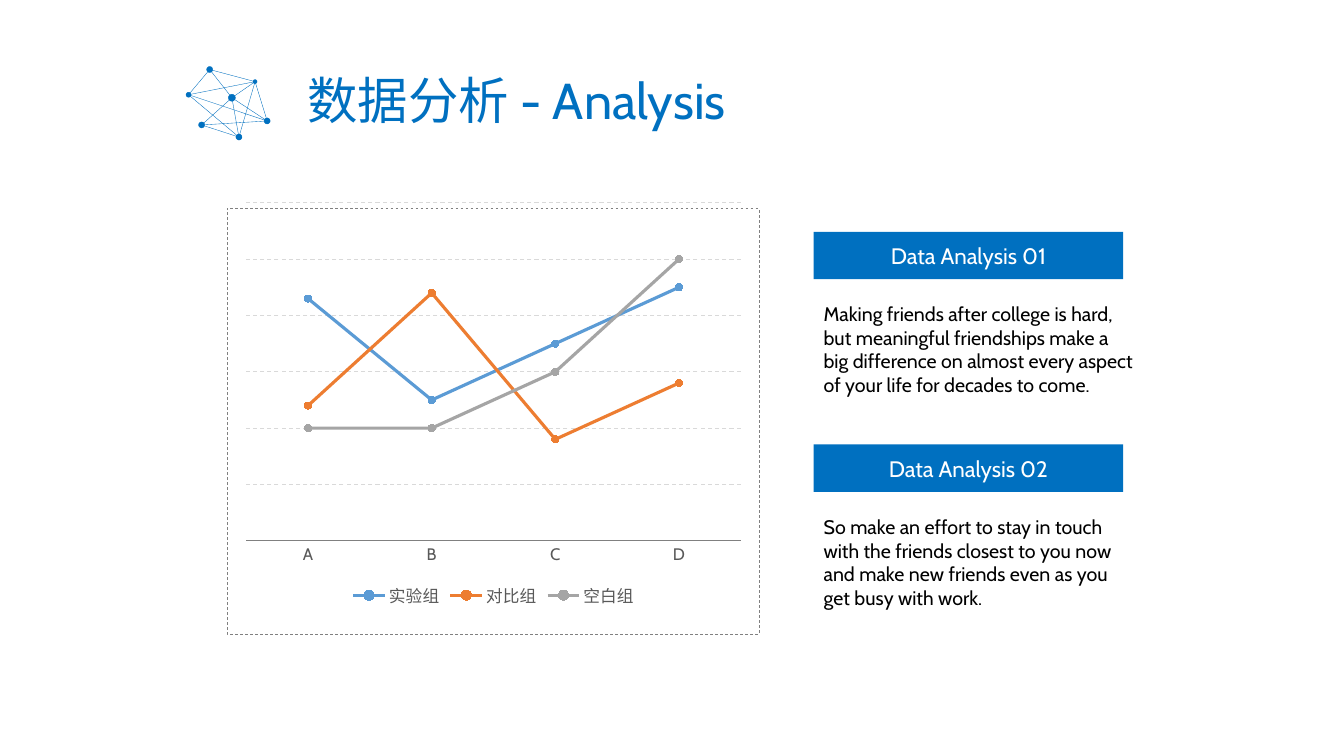
from dataclasses import dataclass

from lxml import etree
from pptx import Presentation
from pptx import util as u
from pptx.chart import data as chart_data
from pptx.dml import color
from pptx.enum import chart as chart_enum
from pptx.enum import dml, shapes, text
from pptx.oxml import ns, parse_xml


@dataclass(frozen=True)
class Theme:
    font: str = "Cabin"
    blue: str = "0070C0"
    white: str = "FFFFFF"
    black: str = "000000"
    label: str = "595959"
    frame: str = "808080"
    grid: str = "D9D9D9"
    series: tuple = ("5B9BD5", "ED7D31", "A5A5A5")
    title_size: float = 36
    heading_size: float = 16
    body_size: float = 14
    chart_size: float = 11.9


THEME = Theme()

NODES = {
    "top": (2.08, 0.69, 0.06),
    "hub": (2.3, 0.97, 0.07),
    "upper right": (2.53, 0.81, 0.04),
    "lower left": (2.0, 1.24, 0.06),
    "left": (1.87, 0.94, 0.05),
    "bottom": (2.37, 1.36, 0.06),
    "right": (2.65, 1.2, 0.06),
}
EDGES = [
    ("top", "left"), ("top", "upper right"), ("top", "hub"),
    ("left", "bottom"), ("left", "right"), ("left", "upper right"),
    ("bottom", "upper right"), ("bottom", "hub"), ("bottom", "lower left"),
    ("hub", "right"), ("hub", "upper right"), ("hub", "lower left"),
    ("right", "upper right"), ("right", "lower left"),
]
GROUPS = {
    "实验组": (86, 50, 70, 90),
    "对比组": (48, 88, 36, 56),
    "空白组": (40, 40, 60, 100),
}
FINDINGS = [
    ("Data Analysis 01", 3.29,
     "Making friends after college is hard, but meaningful friendships make a "
     "big difference on almost every aspect of your life for decades to come."),
    ("Data Analysis 02", 3.15,
     "So make an effort to stay in touch with the friends closest to you now "
     "and make new friends even as you get busy with work."),
]


def rgb(value):
    return color.RGBColor.from_string(value)


def style_font(font, size, value):
    font.name = THEME.font
    font.size = u.Pt(size)
    font.color.rgb = rgb(value)


def style_line(line, value, width, dash=None):
    line.color.rgb = rgb(value)
    line.width = u.Pt(width)
    if dash is not None:
        line.dash_style = dash


def fill_solid(fill, value):
    fill.solid()
    fill.fore_color.rgb = rgb(value)


def set_text(shape, content, size, value):
    frame = shape.text_frame
    frame.word_wrap = True
    frame.text = content
    paragraph = frame.paragraphs[0]
    style_font(paragraph.runs[0].font, size, value)
    return paragraph


def add_text(slide, left, top, width, height, content, size, value):
    shape = slide.shapes.add_textbox(*map(u.Inches, (left, top, width, height)))
    return shape, set_text(shape, content, size, value)


def add_preset(slide, kind, left, top, width, height):
    shape = slide.shapes.add_shape(kind, *map(u.Inches, (left, top, width, height)))
    shape.shadow.inherit = False
    return shape


def add_network(slide):
    for start, end in EDGES:
        points = NODES[start][:2] + NODES[end][:2]
        link = slide.shapes.add_connector(
            shapes.MSO_CONNECTOR.STRAIGHT, *map(u.Inches, points))
        style_line(link.line, THEME.blue, 0.25)
        etree.SubElement(link._element.spPr, ns.qn("a:effectLst"))
    for x, y, size in NODES.values():
        dot = add_preset(slide, shapes.MSO_SHAPE.OVAL,
                         x - size / 2, y - size / 2, size, size)
        fill_solid(dot.fill, THEME.blue)
        style_line(dot.line, THEME.blue, 0.25)


def add_title(slide):
    shape, paragraph = add_text(slide, 2.95, 0.59, 7.93, 0.86,
                                "数据分析 - Analysis", THEME.title_size, THEME.blue)
    shape.text_frame.vertical_anchor = text.MSO_ANCHOR.MIDDLE
    paragraph.line_spacing = 0.9


def place_plot(chart, x, y, width, height):
    plot_area = chart._chartSpace.chart.plotArea
    for layout in plot_area.findall(ns.qn("c:layout")):
        plot_area.remove(layout)
    plot_area.insert(0, parse_xml(
        f'<c:layout {ns.nsdecls("c")}><c:manualLayout>'
        '<c:layoutTarget val="inner"/><c:xMode val="edge"/><c:yMode val="edge"/>'
        f'<c:x val="{x}"/><c:y val="{y}"/><c:w val="{width}"/><c:h val="{height}"/>'
        '</c:manualLayout></c:layout>'))


def style_axes(chart):
    categories, values = chart.category_axis, chart.value_axis
    categories.major_tick_mark = chart_enum.XL_TICK_MARK.NONE
    categories.minor_tick_mark = chart_enum.XL_TICK_MARK.NONE
    style_font(categories.tick_labels.font, THEME.chart_size, THEME.label)
    style_line(categories.format.line, THEME.frame, 0.75)
    values.minimum_scale, values.maximum_scale, values.major_unit = 0, 120, 20
    values.has_major_gridlines = True
    style_line(values.major_gridlines.format.line, THEME.grid, 0.75,
               dml.MSO_LINE.DASH)
    values.visible = False


def add_group_chart(slide):
    data = chart_data.CategoryChartData()
    data.categories = list("ABCD")
    for name, values in GROUPS.items():
        data.add_series(name, values)
    chart = slide.shapes.add_chart(
        chart_enum.XL_CHART_TYPE.LINE_MARKERS,
        *map(u.Inches, (2.34, 1.93, 5.11, 4.14)), data).chart
    style_font(chart.font, 10, THEME.black)
    chart.has_title = False
    chart.has_legend = True
    chart.legend.position = chart_enum.XL_LEGEND_POSITION.BOTTOM
    chart.legend.include_in_layout = False
    style_font(chart.legend.font, THEME.chart_size, THEME.label)
    style_axes(chart)
    place_plot(chart, 0.02, 0.02, 0.96, 0.81)
    chart.plots[0].vary_by_categories = False
    for series, value in zip(chart.plots[0].series, THEME.series):
        series.smooth = False
        style_line(series.format.line, value, 2.25)
        series.marker.style = chart_enum.XL_MARKER_STYLE.CIRCLE
        series.marker.size = 5
        fill_solid(series.marker.format.fill, value)
        style_line(series.marker.format.line, value, 0.75)


def add_chart_frame(slide):
    frame = add_preset(slide, shapes.MSO_SHAPE.RECTANGLE, 2.25, 2.07, 5.28, 4.22)
    frame.fill.background()
    style_line(frame.line, THEME.frame, 0.5, dml.MSO_LINE.DASH)


def add_finding(slide, top, heading, width, body):
    banner = add_preset(slide, shapes.MSO_SHAPE.RECTANGLE, 8.07, top, 3.07, 0.47)
    fill_solid(banner.fill, THEME.blue)
    banner.line.fill.background()
    banner.text_frame.vertical_anchor = text.MSO_ANCHOR.MIDDLE
    paragraph = set_text(banner, heading, THEME.heading_size, THEME.white)
    paragraph.alignment = text.PP_ALIGN.CENTER
    add_text(slide, 8.07, top + 0.65, width, 1.04, body,
             THEME.body_size, THEME.black)


def main():
    presentation = Presentation()
    presentation.slide_width = u.Inches(13.33)
    presentation.slide_height = u.Inches(7.5)
    slide = presentation.slides.add_slide(presentation.slide_layouts[6])
    add_network(slide)
    add_title(slide)
    add_group_chart(slide)
    add_chart_frame(slide)
    for index, finding in enumerate(FINDINGS):
        add_finding(slide, 2.3 + index * 2.11, *finding)
    presentation.save("out.pptx")


if __name__ == "__main__":
    main()
